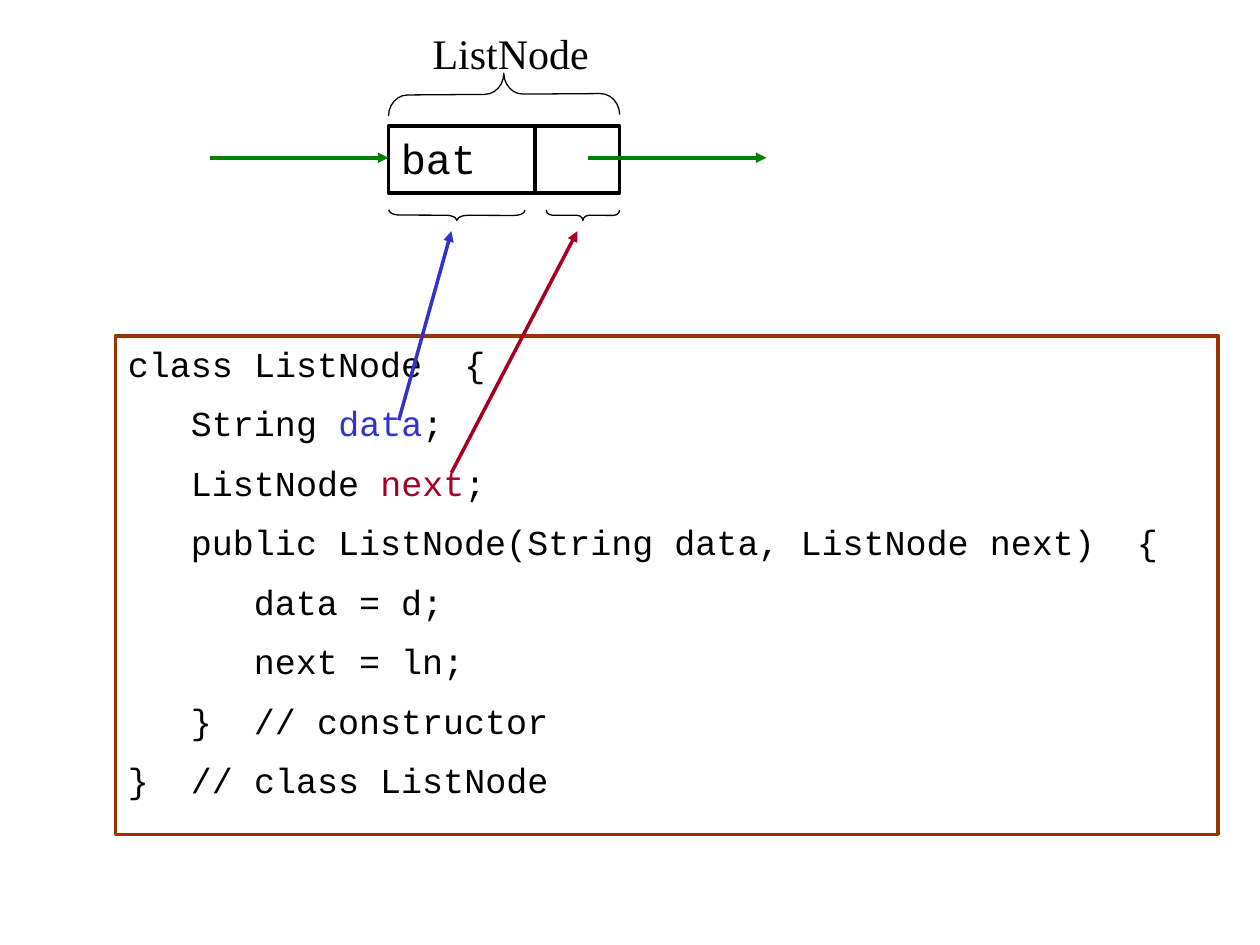
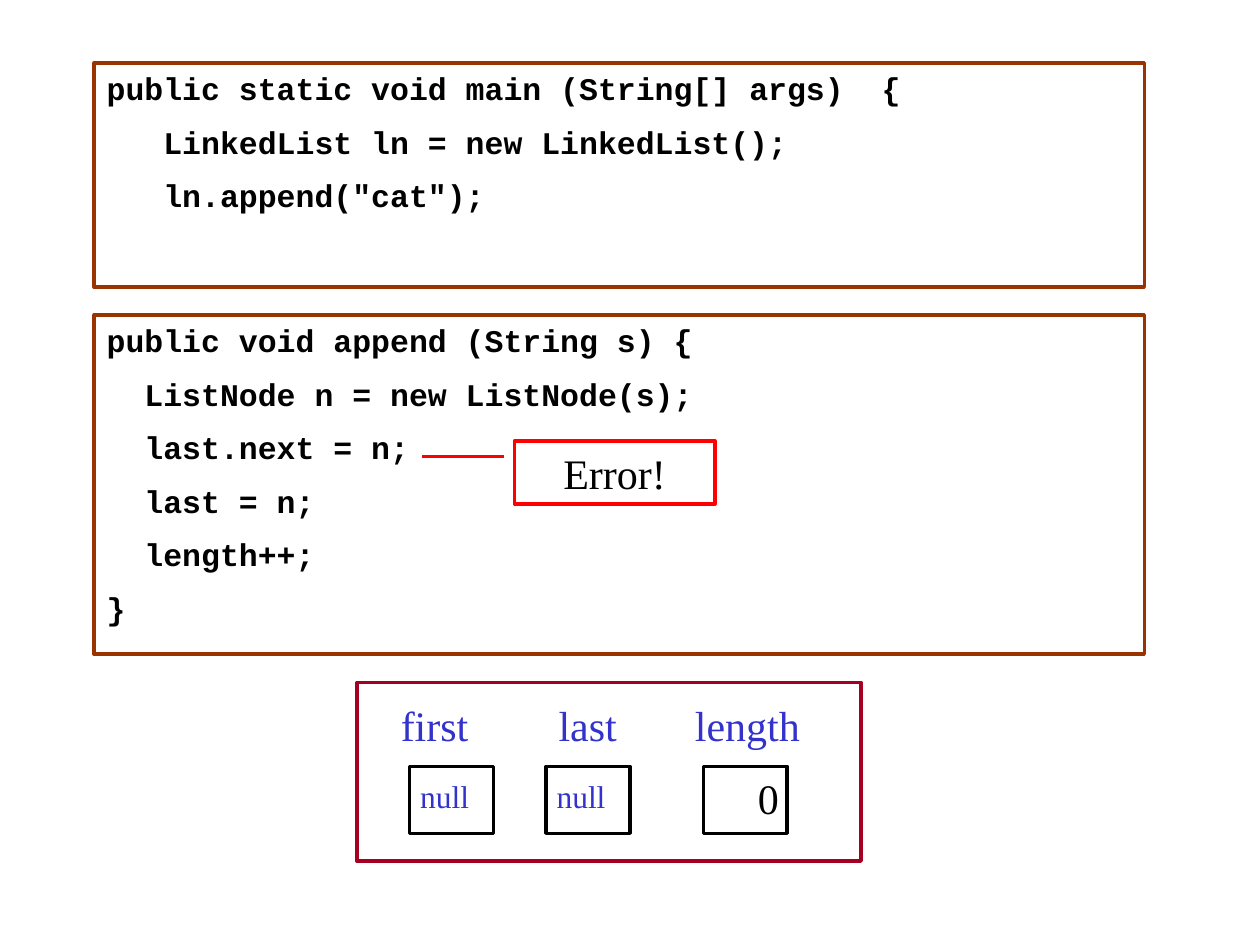
from dataclasses import dataclass

from lxml.etree import SubElement
from pptx import Presentation
from pptx.dml.color import RGBColor
from pptx.enum.shapes import MSO_CONNECTOR, MSO_SHAPE
from pptx.enum.text import MSO_ANCHOR, PP_ALIGN
from pptx.oxml.ns import qn
from pptx.util import Cm, Pt

# Shared style
BLACK = RGBColor(0x00, 0x00, 0x00)
BROWN = RGBColor(0x99, 0x33, 0x00)
BLUE = RGBColor(0x33, 0x33, 0xCC)
CRIMSON = RGBColor(0xA5, 0x00, 0x21)
GREEN = RGBColor(0x00, 0x80, 0x00)
RED = RGBColor(0xFF, 0x00, 0x00)
CODE_FONT = "Courier New"
LABEL_FONT = "Times New Roman"
CODE_CHARACTER_WIDTH = 0.6  # share of the font size
CELL_HEIGHT = 1.35
POINTER_WIDTH = 1.69


@dataclass
class Box:
    """A frame in centimetres."""
    left: float
    top: float
    width: float
    height: float

    def lengths(self):
        return Cm(self.left), Cm(self.top), Cm(self.width), Cm(self.height)


@dataclass
class Line:
    """A line of text: coloured pieces and an indent in characters."""
    indent: int
    pieces: list


@dataclass
class Brace:
    """A brace given by its centre, thickness, span and rotation."""
    x: float
    y: float
    thickness: float
    span: float
    rotation: float


@dataclass
class Arrow:
    start: tuple
    end: tuple
    color: RGBColor


@dataclass
class Field:
    """A named variable with its cell and its value."""
    name: str
    name_box: Box
    cell_left: float
    value: str
    value_box: Box
    value_format: dict


def code(indent: int, text: str) -> Line:
    return Line(indent, [(text, BLACK)])


def add_text(shape, text, *, font=LABEL_FONT, size=24, color=BLACK, bold=False,
             align=PP_ALIGN.LEFT, spaced=True, inset=True) -> None:
    """Fill a shape with a string or with a list of lines."""
    lines = text if isinstance(text, list) else [Line(0, [(text, color)])]
    frame = shape.text_frame
    frame.word_wrap = True
    frame.vertical_anchor = MSO_ANCHOR.TOP
    if not inset:
        frame.margin_left = frame.margin_top = 0
        frame.margin_right = frame.margin_bottom = 0
    for index, line in enumerate(lines):
        paragraph = frame.add_paragraph() if index else frame.paragraphs[0]
        paragraph.alignment = align
        properties = paragraph._p.get_or_add_pPr()
        indent = Pt(line.indent * size * CODE_CHARACTER_WIDTH)
        properties.set("marL", str(int(indent)))
        properties.set("indent", "0")
        if spaced:
            before = SubElement(properties, qn("a:spcBef"))
            SubElement(before, qn("a:spcPct")).set("val", "50000")
        for piece, piece_color in line.pieces:
            run = paragraph.add_run()
            run.text = piece
            run.font.name = font
            run.font.size = Pt(size)
            run.font.bold = bold
            run.font.color.rgb = piece_color


def add_outline(slide, box: Box, color=BLACK, kind=MSO_SHAPE.RECTANGLE, weight=2.0):
    shape = slide.shapes.add_shape(kind, *box.lengths())
    shape.shadow.inherit = False
    shape.fill.background()
    shape.line.color.rgb = color
    shape.line.width = Pt(weight)
    return shape


def add_label(slide, box: Box, text: str, **text_format) -> None:
    add_text(slide.shapes.add_textbox(*box.lengths()), text, **text_format)


def add_code_box(slide, box: Box, lines: list, size: int, bold=False) -> None:
    add_text(add_outline(slide, box, BROWN), lines, font=CODE_FONT, size=size, bold=bold)


def add_brace(slide, brace: Brace) -> None:
    box = Box(brace.x - brace.thickness / 2, brace.y - brace.span / 2,
              brace.thickness, brace.span)
    shape = add_outline(slide, box, kind=MSO_SHAPE.RIGHT_BRACE, weight=0.75)
    shape.adjustments[0] = brace.span / brace.thickness / 12
    shape.adjustments[1] = 0.5
    shape.rotation = brace.rotation


def add_arrow(slide, arrow: Arrow) -> None:
    points = [Cm(value) for value in (*arrow.start, *arrow.end)]
    connector = slide.shapes.add_connector(MSO_CONNECTOR.STRAIGHT, *points)
    connector.line.color.rgb = arrow.color
    connector.line.width = Pt(2)
    SubElement(connector.line._get_or_add_ln(), qn("a:tailEnd")).set("type", "triangle")
    SubElement(connector._element.spPr, qn("a:effectLst"))


def add_field(slide, field: Field) -> None:
    add_outline(slide, Box(field.cell_left, 15.45, POINTER_WIDTH, CELL_HEIGHT))
    add_label(slide, field.name_box, field.name, color=BLUE)
    add_label(slide, field.value_box, field.value, **field.value_format)


def build_node_slide(slide) -> None:
    # Class definition
    add_code_box(slide, Box(2.33, 6.77, 22.23, 10.05), [
        code(0, "class ListNode  {"),
        Line(3, [("String ", BLACK), ("data", BLUE), (";", BLACK)]),
        Line(3, [("ListNode ", BLACK), ("next", CRIMSON), (";", BLACK)]),
        code(3, "public ListNode(String data, ListNode next)  {"),
        code(6, "data = d;"),
        code(6, "next = ln;"),
        code(3, "}  // constructor"),
        code(0, "}  // class ListNode"),
    ], size=20)

    # Node with its data and pointer cells
    data_cell = add_outline(slide, Box(7.83, 2.54, 2.96, CELL_HEIGHT))
    add_text(data_cell, "bat", font=CODE_FONT)
    add_outline(slide, Box(10.8, 2.54, POINTER_WIDTH, CELL_HEIGHT))

    # Links between nodes, then from the fields to the cells
    for arrow in (
        Arrow((4.23, 3.18), (7.83, 3.18), GREEN),
        Arrow((11.85, 3.18), (15.45, 3.18), GREEN),
        Arrow((8.04, 8.47), (9.1, 4.66), BLUE),
        Arrow((9.1, 9.53), (11.64, 4.66), CRIMSON),
    ):
        add_arrow(slide, arrow)

    # Braces around the cells and the whole node
    for brace in (
        Brace(9.21, 4.34, 0.21, 2.75, 90.2),
        Brace(11.75, 4.34, 0.21, 1.48, 90.2),
        Brace(10.16, 1.9, 0.85, 4.66, 269.6),
    ):
        add_brace(slide, brace)
    add_label(slide, Box(8.47, 0.42, 4.23, 1.27), "ListNode")


def build_append_slide(slide) -> None:
    # Calling code and method
    add_code_box(slide, Box(1.9, 1.27, 21.17, 4.52), [
        code(0, "public static void main (String[] args)  {"),
        code(3, "LinkedList ln = new LinkedList();"),
        code(3, 'ln.append("cat");'),
    ], size=18, bold=True)
    add_code_box(slide, Box(1.9, 6.35, 21.17, 6.84), [
        code(0, "public void append (String s) {"),
        code(2, "ListNode n = new ListNode(s);"),
        code(2, "last.next = n;"),
        code(2, "last = n;"),
        code(2, "length++;"),
        code(0, "}"),
    ], size=18, bold=True)

    # List object and its fields
    add_outline(slide, Box(7.2, 13.76, 10.16, 3.6), CRIMSON)
    null_format = dict(size=18, color=BLUE, inset=False)
    for field in (
        Field("first", Box(7.83, 13.97, 2.33, 1.27), 8.26,
              "null", Box(8.47, 15.66, 1.48, 0.76), null_format),
        Field("last", Box(11.01, 13.97, 2.33, 1.27), 11.01,
              "null", Box(11.22, 15.66, 1.48, 0.76), null_format),
        Field("length", Box(13.76, 13.97, 2.75, 1.27), 14.18,
              "0", Box(15.03, 15.45, 1.06, 1.27), {}),
    ):
        add_field(slide, field)

    # Error callout
    callout = add_outline(slide, Box(10.37, 8.89, 4.04, 1.27), RED, MSO_SHAPE.LINE_CALLOUT_2)
    for index, value in enumerate((0.25, -0.05, 0.25, -0.25, 0.25, -0.46)):
        callout.adjustments[index] = value
    add_text(callout, "Error!", align=PP_ALIGN.CENTER, spaced=False)


presentation = Presentation()
presentation.slide_width, presentation.slide_height = Cm(25.4), Cm(19.05)
blank_layout = presentation.slide_layouts[6]
for build_slide in (build_node_slide, build_append_slide):
    build_slide(presentation.slides.add_slide(blank_layout))
presentation.save("out.pptx")
